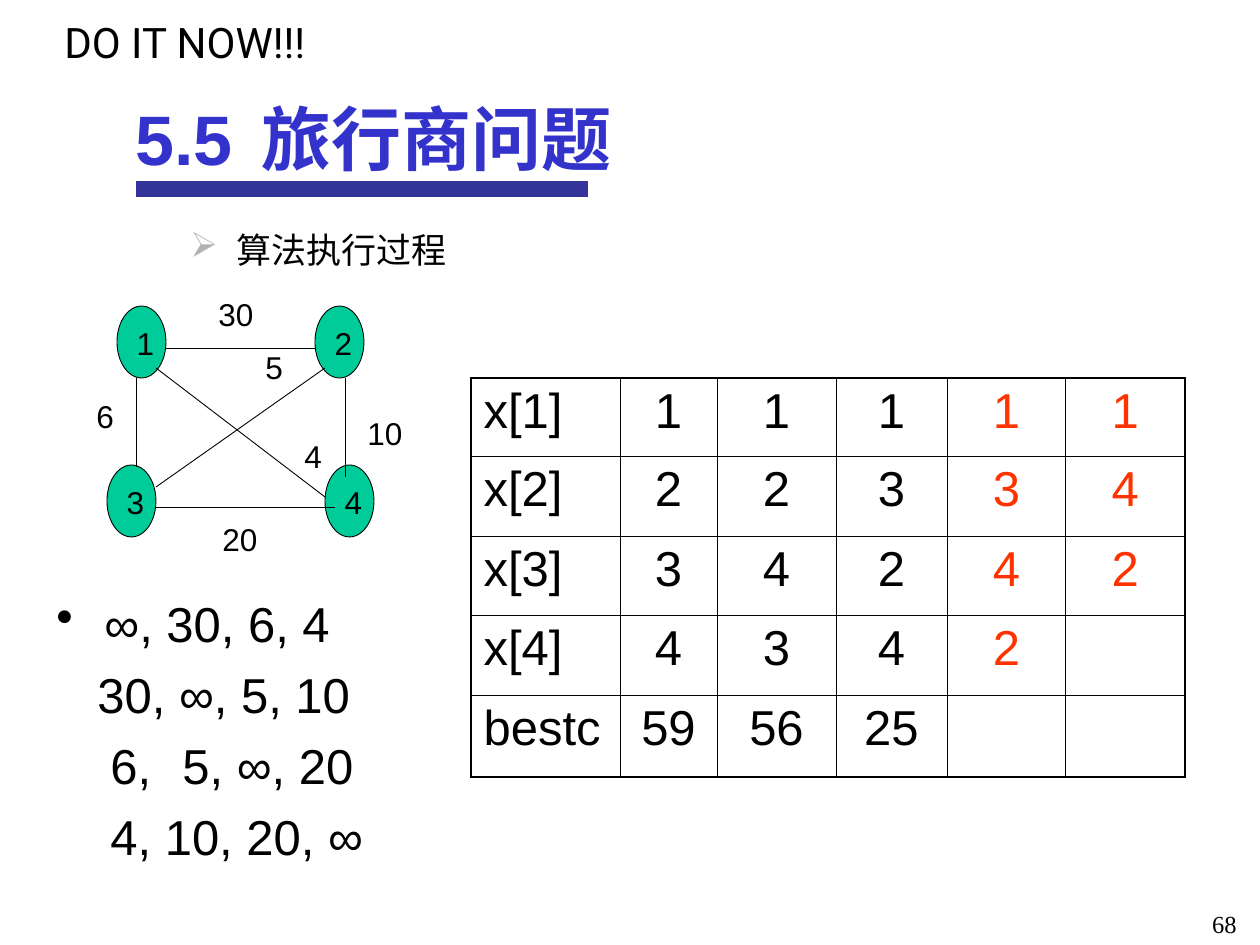
from dataclasses import dataclass

from lxml.etree import SubElement
from pptx import Presentation
from pptx.dml.color import RGBColor as Rgb
from pptx.enum.shapes import MSO_CONNECTOR as Connector, MSO_SHAPE as Preset
from pptx.enum.text import MSO_ANCHOR as Anchor, PP_ALIGN as Align
from pptx.oxml.ns import qn
from pptx.util import Emu, Pt


@dataclass(frozen=True)
class Theme:
    ink: str = "000000"
    heading: str = "3333CC"
    bar: str = "333399"
    node: str = "00CC99"
    pruned: str = "FF3300"
    marker: str = "B2B2B2"
    font: str = "Arial"
    banner_font: str = "Roboto"
    number_font: str = "Times New Roman"
    heading_size: int = 40
    body_size: int = 28
    banner_size: int = 24
    topic_size: int = 20
    label_size: int = 18
    number_size: int = 14
    bar_width: float = 9.5
    edge_width: float = 0.5
    grid_width: float = 0.45
    frame_width: float = 1.08
    gap: int = 7


def px(length):
    return Emu(round(length * 914400 / 126))


class Deck:
    def __init__(self, theme):
        self.theme = theme
        self.file = Presentation()
        self.file.slide_width, self.file.slide_height = px(1260), px(945)
        self.slide = self.file.slides.add_slide(self.file.slide_layouts[6])

    def add_text(self, paragraph, words, size, color=None, font=None, bold=False,
                 align=Align.LEFT):
        paragraph.alignment = align
        run = paragraph.add_run()
        run.text = words
        run.font.size = Pt(size)
        run.font.name = font or self.theme.font
        run.font.bold = bold
        run.font.color.rgb = Rgb.from_string(color or self.theme.ink)

    def indent(self, paragraph, margin=0, first=0, bullet=None, color=None, tab=None):
        props = paragraph._p.get_or_add_pPr()
        props.set("marL", str(px(margin)))
        props.set("indent", str(px(first)))
        if bullet:
            tint = SubElement(props, qn("a:buClr"))
            SubElement(tint, qn("a:srgbClr"), val=color or self.theme.ink)
            SubElement(props, qn("a:buChar"), char=bullet)
        if tab:
            stops = SubElement(props, qn("a:tabLst"))
            SubElement(stops, qn("a:tab"), pos=str(px(tab)), algn="l")

    def frame(self, x, y, w, h, wrap=True, anchor=Anchor.TOP):
        frame = self.slide.shapes.add_textbox(px(x), px(y), px(w), px(h)).text_frame
        frame.word_wrap = wrap
        frame.vertical_anchor = anchor
        return frame

    def label(self, words, x, y, w, h, size, **style):
        self.add_text(self.frame(x, y, w, h, False).paragraphs[0], words, size, **style)

    def line(self, x1, y1, x2, y2, color, width):
        line = self.slide.shapes.add_connector(
            Connector.STRAIGHT, px(x1), px(y1), px(x2), px(y2))
        line.line.color.rgb = Rgb.from_string(color)
        line.line.width = Pt(width)
        SubElement(line._element.spPr, qn("a:effectLst"))

    def node(self, words, x, y):
        node = self.slide.shapes.add_shape(Preset.OVAL, px(x), px(y), px(49), px(72))
        node.shadow.inherit = False
        node.fill.solid()
        node.fill.fore_color.rgb = Rgb.from_string(self.theme.node)
        node.line.color.rgb = Rgb.from_string(self.theme.ink)
        node.line.width = Pt(self.theme.edge_width)
        frame = node.text_frame
        frame.margin_left, frame.margin_top = px(8), px(2)
        frame.margin_right = frame.margin_bottom = 0
        frame.vertical_anchor = Anchor.MIDDLE
        self.add_text(frame.paragraphs[0], words, self.theme.label_size, align=Align.CENTER)

    def border(self, cell, outer):
        props = cell._tc.get_or_add_tcPr()
        for side in "LRTB":
            width = self.theme.frame_width if side in outer else self.theme.grid_width
            edge = SubElement(props, qn(f"a:ln{side}"), w=str(Pt(width)))
            fill = SubElement(edge, qn("a:solidFill"))
            SubElement(fill, qn("a:srgbClr"), val=self.theme.ink)

    def table(self, x, y, widths, heights, rows, pruned_from):
        table = self.slide.shapes.add_table(
            len(heights), len(widths), px(x), px(y),
            px(sum(widths)), px(sum(heights))).table
        table.first_row = table.horz_banding = False
        for column, width in zip(table.columns, widths):
            column.width = px(width)
        for row, height in zip(table.rows, heights):
            row.height = px(height)
        for r, row in enumerate(rows):
            for c, words in enumerate(row):
                cell = table.cell(r, c)
                at_edge = {"L": c == 0, "R": c == len(widths) - 1,
                           "T": r == 0, "B": r == len(heights) - 1}
                self.border(cell, [side for side, hit in at_edge.items() if hit])
                cell.fill.background()
                if words:
                    self.add_text(cell.text_frame.paragraphs[0], words,
                                  self.theme.body_size,
                                  self.theme.pruned if c >= pruned_from else None,
                                  align=Align.CENTER if c else Align.LEFT)


def main():
    theme = Theme()
    deck = Deck(theme)
    deck.line(136, 189, 588, 189, theme.bar, theme.bar_width)
    deck.label("DO IT NOW!!!", 52, 10, 329, 63, theme.banner_size, font=theme.banner_font)

    page_number = deck.frame(987, 903, 262, 32).paragraphs[0]
    deck.add_text(page_number, "68", theme.number_size, font=theme.number_font,
                  align=Align.RIGHT)

    topic = deck.frame(178, 222, 472, 54, anchor=Anchor.MIDDLE).paragraphs[0]
    deck.indent(topic, 46, -46, "➢", theme.marker)
    deck.add_text(topic, "算法执行过程", theme.topic_size)

    costs = deck.frame(44, 587, 407, 338)
    matrix = [
        ("∞, 30, 6, 4", dict(margin=48, first=-48, bullet="•")),
        ("30, ∞, 5, 10", dict(first=41)),
        ("6,\t5, ∞, 20", dict(first=54, tab=122)),
        ("4, 10, 20, ∞", dict(first=54)),
    ]
    for i, (words, layout) in enumerate(matrix):
        cost_row = costs.add_paragraph() if i else costs.paragraphs[0]
        deck.indent(cost_row, **layout)
        if i:
            cost_row.space_before = Pt(theme.gap)
        deck.add_text(cost_row, words, theme.body_size)

    deck.table(471, 378, [149, 97, 119, 111, 119, 119], [78, 80, 79, 80, 82], [
        ["x[1]", "1", "1", "1", "1", "1"],
        ["x[2]", "2", "2", "3", "3", "4"],
        ["x[3]", "3", "4", "2", "4", "2"],
        ["x[4]", "4", "3", "4", "2", ""],
        ["bestc", "59", "56", "25", "", ""],
    ], pruned_from=4)

    heading = deck.frame(123, 73, 766, 113).paragraphs[0]
    deck.indent(heading, tab=152)
    heading.line_spacing = 1.2
    deck.add_text(heading, "5.5\t旅行商问题", theme.heading_size, theme.heading, bold=True)

    for city, x, y in [("1", 117, 306), ("3", 107, 465), ("4", 325, 465), ("2", 315, 306)]:
        deck.node(city, x, y)
    for route in [(166, 348, 315, 348), (156, 368, 325, 497), (345, 378, 345, 477),
                  (136, 378, 136, 467), (156, 487, 325, 368), (156, 507, 335, 507)]:
        deck.line(*route, theme.ink, theme.edge_width)
    for distance, x, y in [("30", 206, 289), ("6", 84, 391), ("10", 355, 408),
                           ("5", 253, 342), ("4", 292, 431), ("20", 210, 514)]:
        deck.label(distance, x, y, 26 + 17 * len(distance), 50, theme.label_size)

    deck.file.save("out.pptx")


if __name__ == "__main__":
    main()
